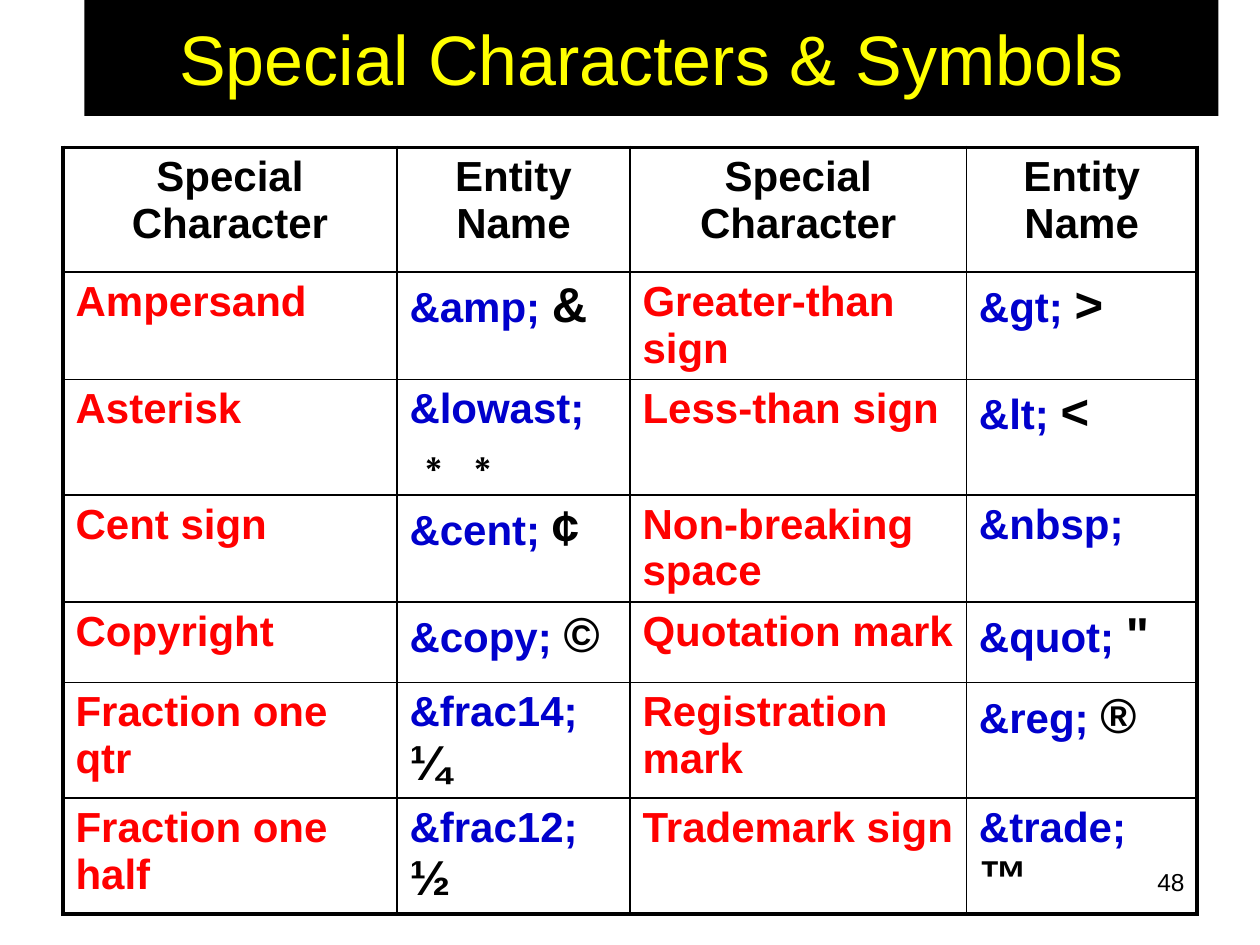
from dataclasses import dataclass

from lxml import etree
from pptx import Presentation
from pptx.dml.color import RGBColor
from pptx.enum.shapes import MSO_SHAPE
from pptx.enum.text import MSO_ANCHOR, PP_ALIGN
from pptx.oxml.ns import qn
from pptx.util import Inches, Pt

RECT = MSO_SHAPE.RECTANGLE
MIDDLE = MSO_ANCHOR.MIDDLE
LEFT, CENTER, RIGHT = PP_ALIGN.LEFT, PP_ALIGN.CENTER, PP_ALIGN.RIGHT
BLACK, RED, BLUE, YELLOW = "000000", "FF0000", "0000CC", "FFFF00"
THIN, THICK = Pt(1), Pt(2.25)
WIDTHS = (2.65, 1.85, 2.67, 1.83)
HEIGHTS = (0.99, 0.84, 0.9, 0.85, 0.64, 0.9, 0.9)


@dataclass
class Part:
    text: str
    size: float = 24
    color: str = BLACK
    bold: bool = True


@dataclass
class Entity:
    name: str
    code: str
    sign: str = ""

    def cells(self) -> list[list[Part]]:
        code = [Part(self.code + (" " if self.sign else ""), color=BLUE)]
        if self.sign:
            code.append(Part(self.sign, 28))
        return [[Part(self.name, color=RED)], code]


PAIRS = (
    (Entity("Ampersand", "&amp;", "&"), Entity("Greater-than sign", "&gt;", ">")),
    (Entity("Asterisk", "&lowast;", "∗∗"), Entity("Less-than sign", "&lt;", "<")),
    (Entity("Cent sign", "&cent;", "¢"), Entity("Non-breaking space", "&nbsp;")),
    (Entity("Copyright", "&copy;", "©"), Entity("Quotation mark", "&quot;", '"')),
    (Entity("Fraction one qtr", "&frac14;", "¼"), Entity("Registration mark", "&reg;", "®")),
    (Entity("Fraction one half", "&frac12;", "½"), Entity("Trademark sign", "&trade;", "™")),
)


def paint(value: str) -> RGBColor:
    return RGBColor.from_string(value)


def write(frame, parts: list[Part], align) -> None:
    para = frame.paragraphs[0]
    para.alignment = align
    para.space_before = Pt(0)
    for part in parts:
        run = para.add_run()
        run.text = part.text
        look = {"name": "Arial", "size": Pt(part.size), "bold": part.bold}
        for key, value in look.items():
            setattr(run.font, key, value)
        run.font.color.rgb = paint(part.color)


def edge(cell, sides: dict[str, int]) -> None:
    props = cell._tc.get_or_add_tcPr()
    for spot, (side, width) in enumerate(sides.items()):
        line = etree.Element(qn(f"a:ln{side}"), w=str(int(width)))
        fill = etree.SubElement(line, qn("a:solidFill"))
        etree.SubElement(fill, qn("a:srgbClr"), val=BLACK)
        props.insert(spot, line)


def add_grid(slide) -> None:
    heads = [[Part(text)] for text in ("Special Character", "Entity Name") * 2]
    rows = [heads] + [left.cells() + right.cells() for left, right in PAIRS]
    wide, high = Inches(sum(WIDTHS)), Inches(sum(HEIGHTS))
    table = slide.shapes.add_table(
        len(rows), len(WIDTHS), Inches(0.5), Inches(1.17), wide, high
    ).table
    table.first_row = table.horz_banding = False
    for col, width in zip(table.columns, WIDTHS):
        col.width = Inches(width)
    for y, (row, height) in enumerate(zip(rows, HEIGHTS)):
        table.rows[y].height = Inches(height)
        for x, parts in enumerate(row):
            cell = table.cell(y, x)
            cell.fill.background()
            cell.margin_bottom = 0
            write(cell.text_frame, parts, LEFT if y else CENTER)
            outer = {"L": x == 0, "R": x == len(row) - 1, "T": y == 0, "B": y == len(rows) - 1}
            edge(cell, {side: THICK if out else THIN for side, out in outer.items()})


def add_title(slide) -> None:
    bar = slide.shapes.add_shape(RECT, Inches(0.67), 0, Inches(9), Inches(0.92))
    bar.shadow.inherit = False
    bar.fill.solid()
    bar.fill.fore_color.rgb = paint(BLACK)
    bar.line.fill.background()
    bar.text_frame.word_wrap = True
    bar.text_frame.vertical_anchor = MIDDLE
    title = Part("Special Characters & Symbols", 40, YELLOW, False)
    write(bar.text_frame, [title], CENTER)


def main() -> None:
    """Build the slide of special characters and their entity names."""
    deck = Presentation()
    deck.slide_width, deck.slide_height = Inches(10), Inches(7.5)
    slide = deck.slides.add_slide(deck.slide_layouts[6])
    page = slide.shapes.add_textbox(Inches(7.17), Inches(6.83), Inches(2.33), Inches(0.52))
    page.text_frame.word_wrap = True
    write(page.text_frame, [Part("48", 14, bold=False)], RIGHT)
    add_title(slide)
    add_grid(slide)
    deck.save("out.pptx")


if __name__ == "__main__":
    main()
